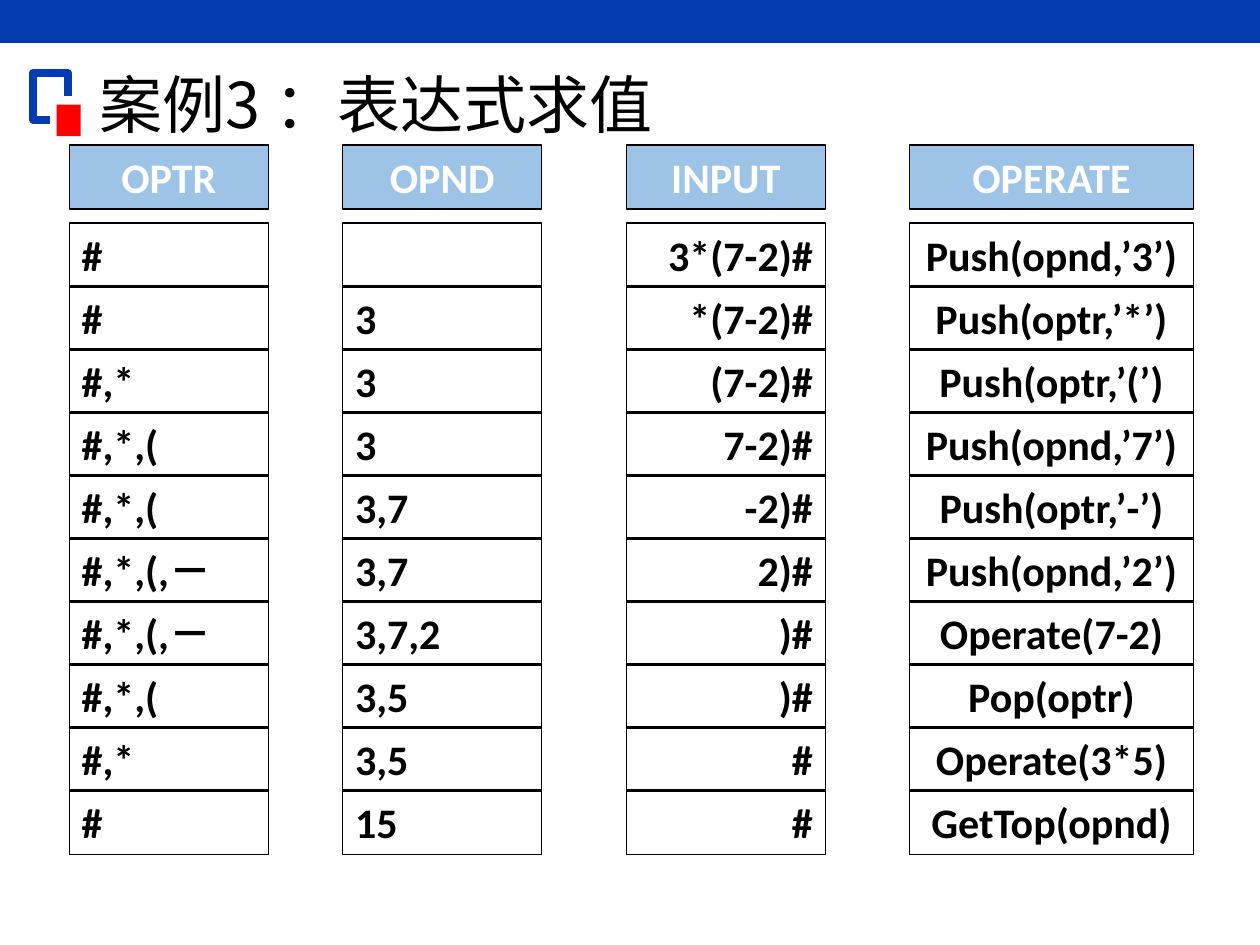
"""Build a slide tracing the evaluation of an expression with two stacks."""
from lxml.etree import SubElement
from pptx import Presentation
from pptx.dml.color import RGBColor
from pptx.enum.shapes import MSO_SHAPE
from pptx.enum.text import MSO_ANCHOR, PP_ALIGN
from pptx.oxml.ns import qn
from pptx.util import Inches, Pt

THEME = {
    "blue": RGBColor(0x05, 0x3C, 0xAF),
    "red": RGBColor(0xFF, 0x00, 0x00),
    "header": RGBColor(0x9D, 0xC3, 0xE6),
    "white": RGBColor(0xFF, 0xFF, 0xFF),
    "black": RGBColor(0x00, 0x00, 0x00),
    "title": {"name": "Noto Sans CJK SC", "size": Pt(36), "bold": False},
    "cell": {"name": "Calibri", "size": Pt(24), "bold": True},
}
COLUMNS = [
    ("OPTR", 0.55, 1.58, PP_ALIGN.LEFT),
    ("OPND", 2.72, 1.58, PP_ALIGN.LEFT),
    ("INPUT", 4.97, 1.58, PP_ALIGN.RIGHT),
    ("OPERATE", 7.22, 2.25, PP_ALIGN.CENTER),
]
STEPS = [
    ("#", "", "3*(7-2)#", "Push(opnd,’3’)"),
    ("#", "3", "*(7-2)#", "Push(optr,’*’)"),
    ("#,*", "3", "(7-2)#", "Push(optr,’(’)"),
    ("#,*,(", "3", "7-2)#", "Push(opnd,’7’)"),
    ("#,*,(", "3,7", "-2)#", "Push(optr,’-’)"),
    ("#,*,(,－", "3,7", "2)#", "Push(opnd,’2’)"),
    ("#,*,(,－", "3,7,2", ")#", "Operate(7-2)"),
    ("#,*,(", "3,5", ")#", "Pop(optr)"),
    ("#,*", "3,5", "#", "Operate(3*5)"),
    ("#", "15", "#", "GetTop(opnd)"),
]
HEADER_TOP, FIRST_TOP, ROW_STEP, CELL_HEIGHT = 1.15, 1.77, 0.5, 0.51


def add_box(left, top, width, height, fill=None, line=None):
    box = slide.shapes.add_shape(
        MSO_SHAPE.RECTANGLE, Inches(left), Inches(top), Inches(width), Inches(height)
    )
    box.shadow.inherit = False
    if fill is None:
        box.fill.background()
    else:
        box.fill.solid()
        box.fill.fore_color.rgb = fill
    if line is None:
        box.line.fill.background()
    else:
        box.line.color.rgb = line
        box.line.width = Pt(0.75)
    return box


def write(box, text, style, color, align):
    box.text_frame.vertical_anchor = MSO_ANCHOR.MIDDLE
    para = box.text_frame.paragraphs[0]
    para.alignment = align
    span = para.add_run()
    span.text = text
    for name, value in THEME[style].items():
        setattr(span.font, name, value)
    span.font.color.rgb = THEME[color]
    east_asian = SubElement(span.font._element, qn("a:ea"))
    east_asian.set("typeface", THEME[style]["name"])


deck = Presentation()
deck.slide_width, deck.slide_height = Inches(10), Inches(7.5)
slide = deck.slides.add_slide(deck.slide_layouts[5])

add_box(0, 0, 10, 0.34, THEME["blue"])
corners = [
    (Inches(x), Inches(y))
    for x, y in [(0.4, 0.95), (0.26, 0.95), (0.26, 0.58), (0.54, 0.58), (0.54, 0.76)]
]
builder = slide.shapes.build_freeform(*corners[0])
builder.add_line_segments(corners[1:], close=False)
bracket = builder.convert_to_shape()
bracket.shadow.inherit = False
bracket.fill.background()
bracket.line.color.rgb = THEME["blue"]
bracket.line.width = Pt(4.5)
add_box(0.45, 0.83, 0.19, 0.25, THEME["red"])

title = slide.shapes.title
title.left, title.top = Inches(0.69), Inches(0.52)
title.width, title.height = Inches(8.62), Inches(0.67)
write(title, "案例3 ：表达式求值", "title", "black", PP_ALIGN.LEFT)
title.text_frame.paragraphs[0].line_spacing = 0.9

for heading, left, width, align in COLUMNS:
    box = add_box(left, HEADER_TOP, width, CELL_HEIGHT, THEME["header"], THEME["black"])
    write(box, heading, "cell", "white", PP_ALIGN.CENTER)

for row, step in enumerate(STEPS):
    top = FIRST_TOP + row * ROW_STEP
    for text, (heading, left, width, align) in zip(step, COLUMNS):
        box = add_box(left, top, width, CELL_HEIGHT, line=THEME["black"])
        if text:
            write(box, text, "cell", "black", align)

deck.save("out.pptx")
